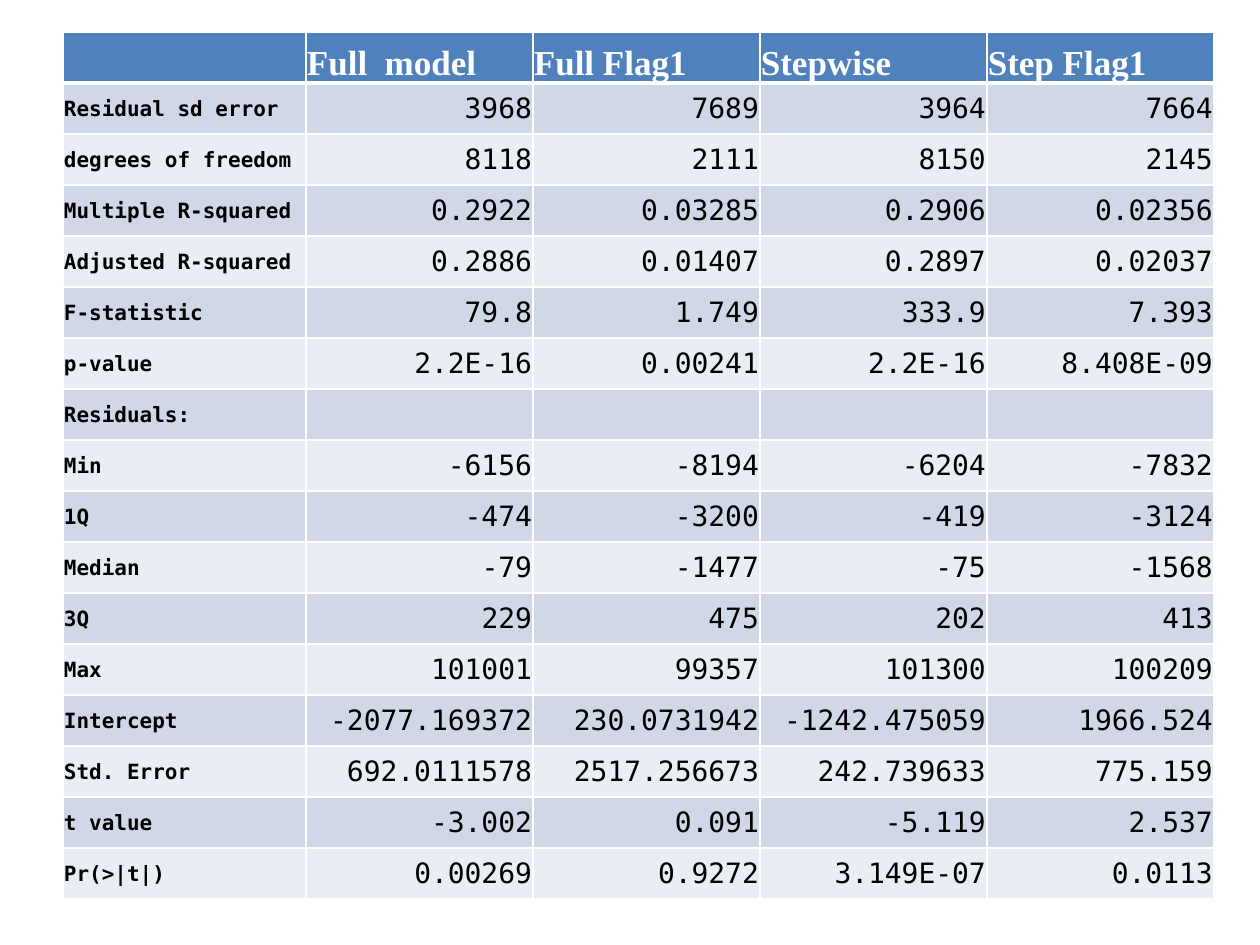
"""Build a slide with a table comparing four regression models."""
from lxml import etree
from pptx import Presentation
from pptx import util as u
from pptx.dml.color import RGBColor
from pptx.enum import text
from pptx.oxml.ns import qn

EMU_PER_PX = 914400 // 126
HEADINGS = ["", "Full  model", "Full Flag1", "Stepwise", "Step Flag1"]
STATISTICS = [
    ["Residual sd error", "3968", "7689", "3964", "7664"],
    ["degrees of freedom", "8118", "2111", "8150", "2145"],
    ["Multiple R-squared", "0.2922", "0.03285", "0.2906", "0.02356"],
    ["Adjusted R-squared", "0.2886", "0.01407", "0.2897", "0.02037"],
    ["F-statistic", "79.8", "1.749", "333.9", "7.393"],
    ["p-value", "2.2E-16", "0.00241", "2.2E-16", "8.408E-09"],
    ["Residuals:", "", "", "", ""],
    ["Min", "-6156", "-8194", "-6204", "-7832"],
    ["1Q", "-474", "-3200", "-419", "-3124"],
    ["Median", "-79", "-1477", "-75", "-1568"],
    ["3Q", "229", "475", "202", "413"],
    ["Max", "101001", "99357", "101300", "100209"],
    ["Intercept", "-2077.169372", "230.0731942", "-1242.475059", "1966.524"],
    ["Std. Error", "692.0111578", "2517.256673", "242.739633", "775.159"],
    ["t value", "-3.002", "0.091", "-5.119", "2.537"],
    ["Pr(>|t|)", "0.00269", "0.9272", "3.149E-07", "0.0113"],
]
COLUMN_WIDTHS = [243, 227, 227, 227, 227]
ROW_HEIGHT = 51
HEADER_FILL = "4F81BD"
BAND_FILLS = ["D0D8E8", "E9EDF4"]
HEADER_STYLE = ("Times New Roman", 20, True, "FFFFFF", text.PP_ALIGN.LEFT)
LABEL_STYLE = ("DejaVu Sans Mono", 12, True, "000000", text.PP_ALIGN.LEFT)
VALUE_STYLE = ("DejaVu Sans Mono", 16, False, "000000", text.PP_ALIGN.RIGHT)


def px(length):
    return u.Emu(length * EMU_PER_PX)


def set_fill(fill, color):
    fill.solid()
    fill.fore_color.rgb = RGBColor.from_string(color)


def set_borders(cell, top, bottom):
    properties = cell._tc.get_or_add_tcPr()
    widths = {"a:lnL": 1, "a:lnR": 1, "a:lnT": top, "a:lnB": bottom}
    for position, (tag, points) in enumerate(widths.items()):
        line = etree.Element(qn(tag), w=str(u.Pt(points)))
        solid = etree.SubElement(line, qn("a:solidFill"))
        etree.SubElement(solid, qn("a:srgbClr"), val="FFFFFF")
        properties.insert(position, line)


def write_cell(cell, words, style, anchor):
    font_name, size, bold, color, alignment = style
    cell.margin_left = cell.margin_right = cell.margin_top = px(1)
    cell.margin_bottom = 0
    cell.vertical_anchor = anchor
    paragraph = cell.text_frame.paragraphs[0]
    paragraph.alignment = alignment
    if words:
        run = paragraph.add_run()
        run.text = words
        run.font.name = font_name
        run.font.size = u.Pt(size)
        run.font.bold = bold
        set_fill(run.font.fill, color)


def fill_header(table):
    for column, heading in enumerate(HEADINGS):
        cell = table.cell(0, column)
        write_cell(cell, heading, HEADER_STYLE, text.MSO_ANCHOR.BOTTOM)
        set_fill(cell.fill, HEADER_FILL)
        set_borders(cell, top=1, bottom=3)


def fill_body(table):
    for row, values in enumerate(STATISTICS, start=1):
        for column, words in enumerate(values):
            cell = table.cell(row, column)
            style = VALUE_STYLE if column else LABEL_STYLE
            write_cell(cell, words, style, text.MSO_ANCHOR.MIDDLE)
            set_fill(cell.fill, BAND_FILLS[(row - 1) % 2])
            set_borders(cell, top=3 if row == 1 else 1, bottom=1)


def add_model_table(slide, left, top):
    row_count = len(STATISTICS) + 1
    frame = slide.shapes.add_table(
        row_count, len(HEADINGS), px(left), px(top),
        px(sum(COLUMN_WIDTHS)), px(ROW_HEIGHT * row_count))
    table = frame.table
    table.horz_banding = False
    for column, width in zip(table.columns, COLUMN_WIDTHS):
        column.width = px(width)
    for row in table.rows:
        row.height = px(ROW_HEIGHT)
    fill_header(table)
    fill_body(table)


def main():
    presentation = Presentation()
    presentation.slide_width = u.Inches(10)
    presentation.slide_height = u.Inches(7.5)
    slide = presentation.slides.add_slide(presentation.slide_layouts[6])
    add_model_table(slide, 63, 32)
    presentation.save("out.pptx")


if __name__ == "__main__":
    main()
